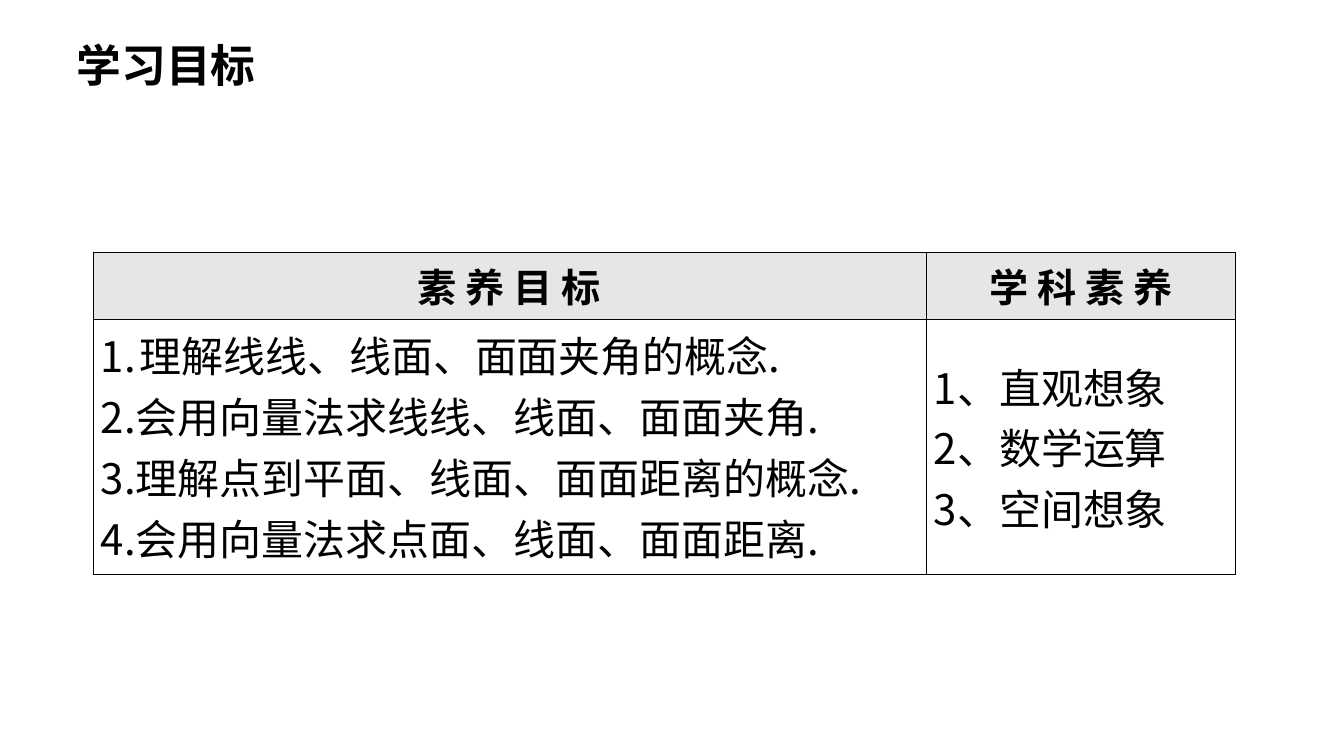
"""Build the learning goals slide with its table of aims."""
from dataclasses import dataclass

from lxml import etree
from pptx import Presentation
from pptx.dml.color import RGBColor
from pptx.enum.text import MSO_ANCHOR, MSO_AUTO_SIZE, PP_ALIGN
from pptx.oxml.ns import qn
from pptx.util import Cm, Pt

TOP, MIDDLE = MSO_ANCHOR.TOP, MSO_ANCHOR.MIDDLE
LEFT, CENTER, JUSTIFY = PP_ALIGN.LEFT, PP_ALIGN.CENTER, PP_ALIGN.JUSTIFY
FIXED = MSO_AUTO_SIZE.NONE
TITLE_ONLY = 5


@dataclass(frozen=True)
class Theme:
    """Colours, font and type sizes."""
    ink: str = "000000"
    rule: str = "080000"
    head: str = "E6E6E6"
    font: str = "Noto Sans CJK SC"
    title: int = 32
    label: int = 28
    body: int = 30
    line: float = 0.45


def apply(item, values):
    """Set each named value on an item."""
    for name, value in values.items():
        setattr(item, name, value)


class Deck:
    """Hold the theme and the current slide."""

    def __init__(self, theme, width, height):
        """Open a deck with one title slide."""
        self.theme = theme
        self.file = Presentation()
        apply(self.file, {"slide_width": Cm(width), "slide_height": Cm(height)})
        self.slide = self.file.slides.add_slide(self.file.slide_layouts[TITLE_ONLY])

    def text(self, frame, lines, size, bold, align):
        """Set one paragraph per line."""
        for index, line in enumerate(lines):
            para = frame.add_paragraph() if index else frame.paragraphs[0]
            para.alignment = align
            run = para.add_run()
            run.text = line
            apply(run.font, {"name": self.theme.font, "size": Pt(size), "bold": bold})
            run.font.color.rgb = RGBColor.from_string(self.theme.ink)
            props = run._r.get_or_add_rPr()
            etree.SubElement(props, qn("a:ea"), typeface=self.theme.font)

    def title(self, text, box):
        """Place and format the title."""
        shape = self.slide.shapes.title
        apply(shape, dict(zip(("left", "top", "width", "height"), map(Cm, box))))
        frame = shape.text_frame
        apply(frame, {"vertical_anchor": TOP, "word_wrap": True, "auto_size": FIXED})
        self.text(frame, [text], self.theme.title, True, CENTER)
        frame.paragraphs[0].line_spacing = 1.5

    def border(self, cell):
        """Rule all four sides of a cell."""
        props = cell._tc.get_or_add_tcPr()
        for index, side in enumerate(("lnL", "lnR", "lnT", "lnB")):
            line = etree.Element(qn(f"a:{side}"), w=str(Pt(self.theme.line)))
            fill = etree.SubElement(line, qn("a:solidFill"))
            etree.SubElement(fill, qn("a:srgbClr"), val=self.theme.rule)
            props.insert(index, line)

    def cell(self, cell, lines, head, align, anchor):
        """Fill, rule and letter one cell."""
        apply(cell, {"margin_left": Cm(0.2), "margin_right": Cm(0.2),
                     "margin_top": Cm(0.13), "margin_bottom": Cm(0.13),
                     "vertical_anchor": anchor})
        if head:
            cell.fill.solid()
            cell.fill.fore_color.rgb = RGBColor.from_string(self.theme.head)
        else:
            cell.fill.background()
        self.border(cell)
        size = self.theme.label if head else self.theme.body
        self.text(cell.text_frame, lines, size, head, align)

    def table(self, left, top, cols, rows, cells):
        """Add a table and return it."""
        size = map(Cm, (left, top, sum(cols), sum(rows)))
        table = self.slide.shapes.add_table(len(rows), len(cols), *size).table
        apply(table, {"first_row": False, "horz_banding": False})
        for col, width in zip(table.columns, cols):
            col.width = Cm(width)
        for row, height in zip(table.rows, rows):
            row.height = Cm(height)
        for y, line in enumerate(cells):
            for x, (lines, align, anchor) in enumerate(line):
                self.cell(table.cell(y, x), lines, y == 0, align, anchor)
        return table

    def hang(self, paras, indent):
        """Hang paragraphs and number the first."""
        for para in paras:
            props = para._p.get_or_add_pPr()
            props.set("marL", str(Cm(indent)))
            props.set("indent", str(-Cm(indent)))
        props = paras[0]._p.get_or_add_pPr()
        color = etree.SubElement(props, qn("a:buClr"))
        etree.SubElement(color, qn("a:srgbClr"), val=self.theme.ink)
        etree.SubElement(props, qn("a:buAutoNum"), type="arabicPeriod")


def main():
    """Build and save the slide."""
    deck = Deck(Theme(), 33.88, 19.05)
    deck.title("学习目标", (0.61, 0.15, 7.16, 2.29))
    goals = ["理解线线、线面、面面夹角的概念.",
             "2.会用向量法求线线、线面、面面夹角.",
             "3.理解点到平面、线面、面面距离的概念.",
             "4.会用向量法求点面、线面、面面距离."]
    skills = ["1、直观想象", "2、数学运算", "3、空间想象"]
    table = deck.table(2.34, 6.35, (21, 7.8), (1.67, 6.43), [
        [(["素 养 目 标"], CENTER, MIDDLE), (["学 科 素 养"], CENTER, MIDDLE)],
        [(goals, JUSTIFY, TOP), (skills, LEFT, MIDDLE)],
    ])
    deck.hang(table.cell(1, 0).text_frame.paragraphs, 0.97)
    deck.file.save("out.pptx")


if __name__ == "__main__":
    main()
